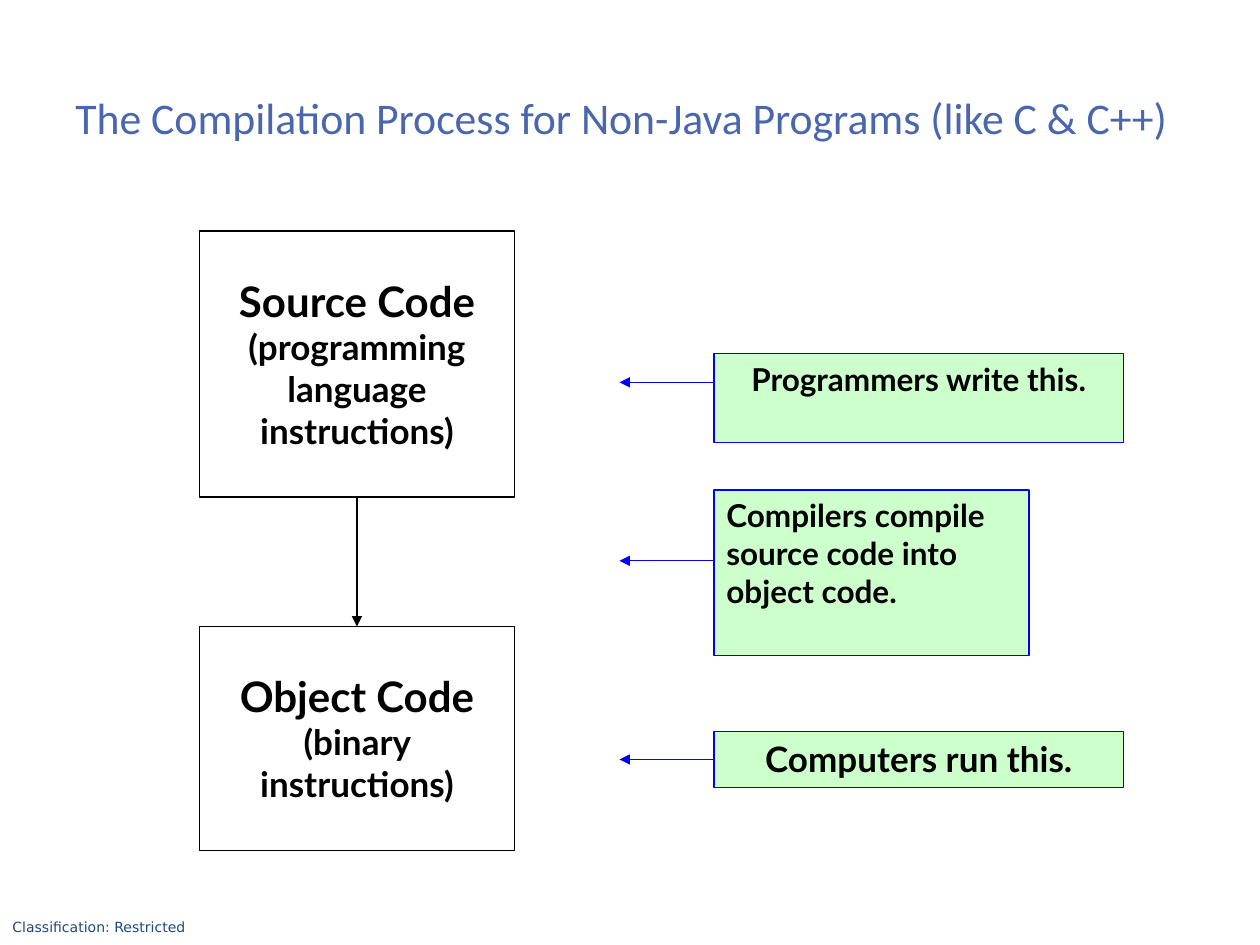
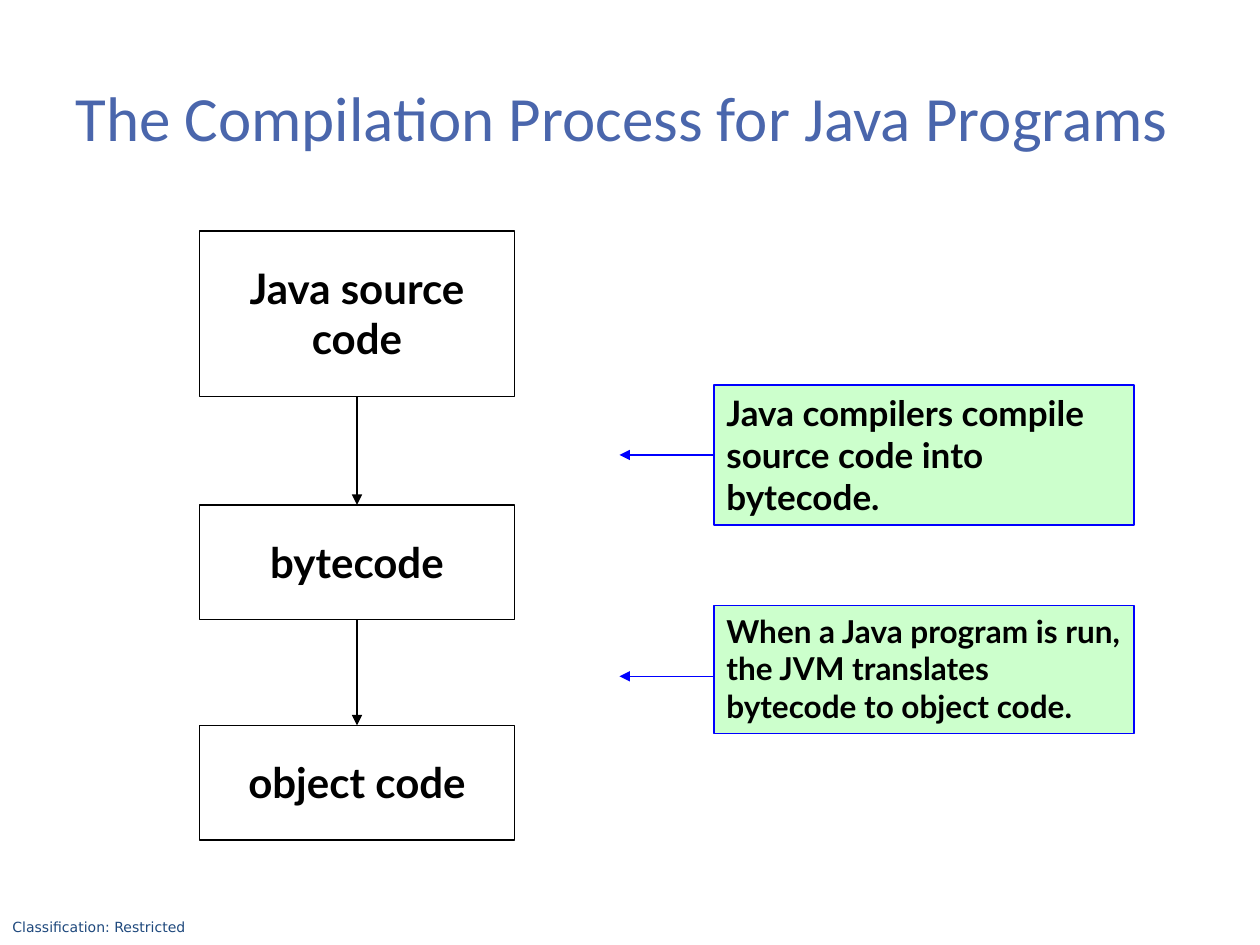
from itertools import pairwise

from pptx import Presentation
from pptx.dml.color import RGBColor
from pptx.enum import shapes, text
from pptx.oxml import ns, xmlchemy
from pptx.util import Pt

# Shared look
TITLE_BLUE = RGBColor(0x4A, 0x66, 0xAC)
FOOTER_BLUE = RGBColor(0x1F, 0x49, 0x7D)
NOTE_GREEN = RGBColor(0xCC, 0xFF, 0xCC)
NOTE_BLUE = RGBColor(0x00, 0x00, 0xFF)
BLACK = RGBColor(0x00, 0x00, 0x00)
LEFT, CENTER = text.PP_ALIGN.LEFT, text.PP_ALIGN.CENTER
BODY_FONT = "Lato"

# Shared columns, in points
STAGE_LEFT, STAGE_WIDTH = 114, 180
NOTE_LEFT, ARROW_END = 408, 354
TOP, BOTTOM, LEFT_SIDE = 0, 2, 1


def add_run(paragraph, words, **font_format):
    run = paragraph.add_run()
    run.text = words
    color = font_format.pop("color")
    for key, value in font_format.items():
        setattr(run.font, key, value)
    run.font.color.rgb = color


def add_label(slide, place, words, wrap=True, anchor=text.MSO_ANCHOR.TOP, **font_format):
    label = slide.shapes.add_textbox(*map(Pt, place))
    label.text_frame.word_wrap = wrap
    label.text_frame.vertical_anchor = anchor
    add_run(label.text_frame.paragraphs[0], words, **font_format)


def add_box(slide, place, parts, line_color, fill=None, align=CENTER, inset=3.6):
    """Draw a rectangle whose text is a list of (words, size) parts."""
    box = slide.shapes.add_shape(shapes.MSO_SHAPE.RECTANGLE, *map(Pt, place))
    box.shadow.inherit = False
    if fill is None:
        box.fill.background()
    else:
        box.fill.solid()
        box.fill.fore_color.rgb = fill
    box.line.color.rgb = line_color
    box.line.width = Pt(0.75)
    frame_format = {
        "word_wrap": True,
        "vertical_anchor": text.MSO_ANCHOR.TOP,
        "margin_top": Pt(inset),
        "margin_bottom": Pt(inset),
    }
    for key, value in frame_format.items():
        setattr(box.text_frame, key, value)
    paragraph = box.text_frame.paragraphs[0]
    paragraph.alignment = align
    for words, size in parts:
        add_run(paragraph, words, name=BODY_FONT, size=Pt(size), bold=True, color=BLACK)
    return box


def add_arrow(slide, start, end, color):
    arrow = slide.shapes.add_connector(shapes.MSO_CONNECTOR.STRAIGHT, *start, *end)
    arrow.line.color.rgb = color
    arrow.line.width = Pt(0.75)
    properties = arrow._element.spPr
    head = xmlchemy.OxmlElement("a:tailEnd")
    head.set("type", "triangle")
    properties.find(ns.qn("a:ln")).append(head)
    properties.append(xmlchemy.OxmlElement("a:effectLst"))
    return arrow


def add_stages(slide, stages, inset):
    """Stack the (top, height, parts) stages and join each one to the next."""
    boxes = [
        add_box(slide, (STAGE_LEFT, top, STAGE_WIDTH, height), parts, BLACK, inset=inset)
        for top, height, parts in stages
    ]
    for upper, lower in pairwise(boxes):
        center = upper.left + upper.width // 2
        arrow = add_arrow(slide, (center, upper.top + upper.height), (center, lower.top), BLACK)
        arrow.begin_connect(upper, BOTTOM)
        arrow.end_connect(lower, TOP)


def add_note(slide, top, width, height, words, size, align=LEFT, arrow_y=None):
    """Draw a green note; its arrow leaves the middle unless arrow_y is given."""
    note = add_box(slide, (NOTE_LEFT, top, width, height), [(words, size)],
                   NOTE_BLUE, NOTE_GREEN, align)
    y = Pt(top + height / 2 if arrow_y is None else arrow_y)
    arrow = add_arrow(slide, (note.left, y), (Pt(ARROW_END), y), NOTE_BLUE)
    if arrow_y is None:
        arrow.begin_connect(note, LEFT_SIDE)


def add_process_slide(deck, title, title_size):
    slide = deck.slides.add_slide(deck.slide_layouts[6])
    add_label(slide, (0, 521.5, 114, 16.5), "Classification: Restricted", wrap=False,
              name="DejaVu Sans", size=Pt(8), color=FOOTER_BLUE)
    add_label(slide, (36, 21.6, 648, 90), title, anchor=text.MSO_ANCHOR.MIDDLE,
              name="Calibri", size=Pt(title_size), color=TITLE_BLUE)
    return slide


def main():
    deck = Presentation()
    deck.slide_width, deck.slide_height = Pt(720), Pt(540)

    # Non-Java programs
    slide = add_process_slide(
        deck, "The Compilation Process for Non-Java Programs (like C & C++)", 25)
    add_stages(slide, [
        (132, 152, [("Source Code", 24), (" (programming language instructions)", 20)]),
        (358, 128, [("Object Code", 24), (" (binary instructions)", 20)]),
    ], inset=25.2)
    add_note(slide, 202, 234, 51, "Programmers write this.", 18, CENTER, arrow_y=218.5)
    add_note(slide, 280, 180, 94.5, "Compilers compile source code into object code.", 18,
             arrow_y=320.5)
    add_note(slide, 418, 234, 32, "Computers run this.", 20, CENTER)

    # Java programs
    slide = add_process_slide(deck, "The Compilation Process for Java Programs", 36)
    add_stages(slide, [
        (132, 94.5, [("Java source code", 24)]),
        (288.5, 65.5, [("bytecode", 24)]),
        (414.5, 65.5, [("object code", 24)]),
    ], inset=18)
    add_note(slide, 220, 240, 80, "Java compilers compile source code into bytecode.", 20)
    add_note(slide, 346, 240, 73,
             "When a Java program is run, the JVM translates bytecode to object code.", 18,
             arrow_y=386.5)

    deck.save("out.pptx")


if __name__ == "__main__":
    main()
